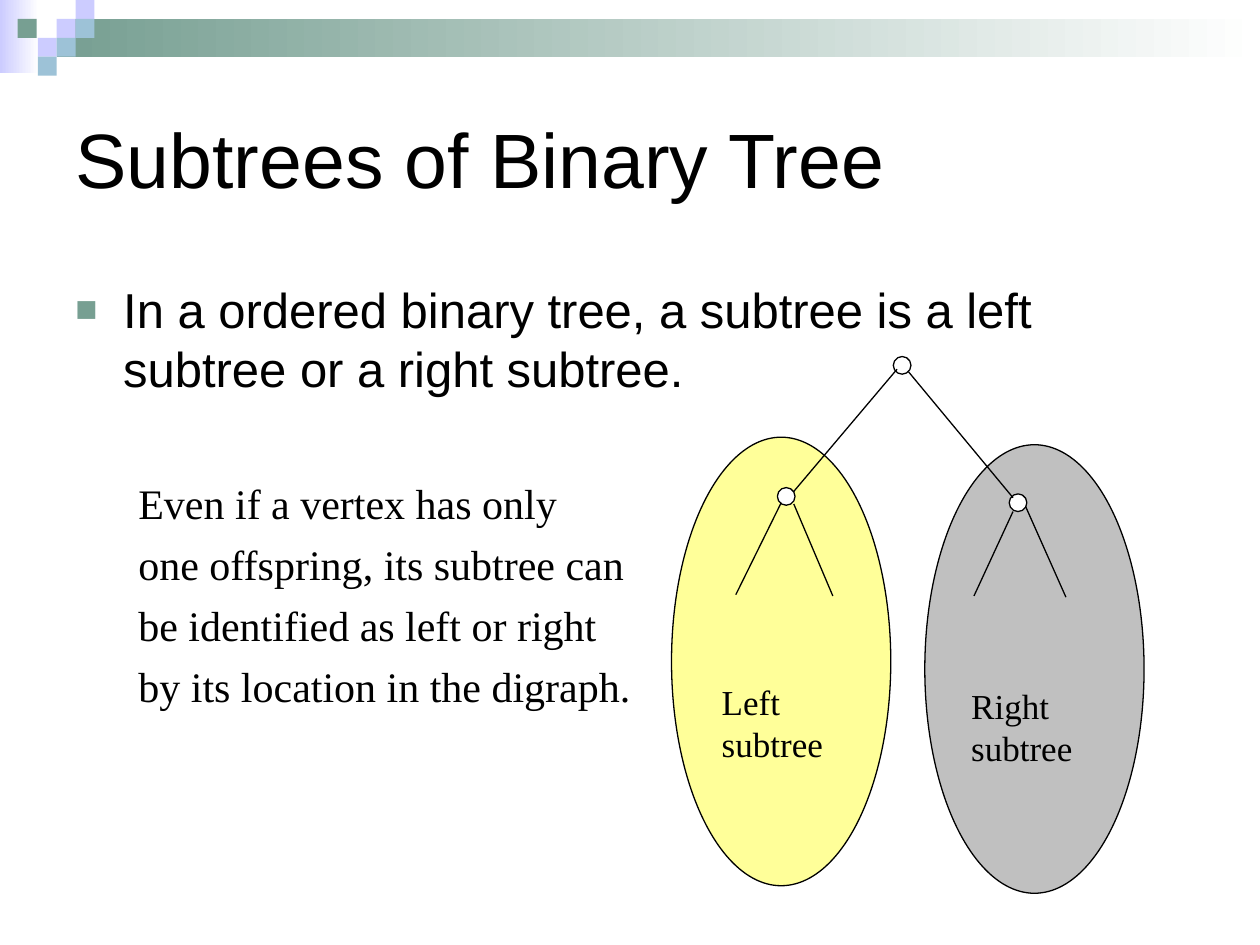
from typing import NamedTuple

from lxml.etree import SubElement
from pptx import Presentation
from pptx.dml.color import RGBColor
from pptx.enum.shapes import MSO_CONNECTOR as Connector, MSO_SHAPE as Preset
from pptx.enum.text import MSO_ANCHOR as Anchor, PP_ALIGN as Align
from pptx.oxml.ns import qn
from pptx.util import Inches, Pt

BLACK = RGBColor(0x00, 0x00, 0x00)
WHITE = RGBColor(0xFF, 0xFF, 0xFF)
GREEN = RGBColor(0x77, 0x9F, 0x92)
LAVENDER = RGBColor(0xCC, 0xCC, 0xFF)
BLUE = RGBColor(0x9D, 0xC2, 0xD7)
YELLOW = RGBColor(0xFF, 0xFF, 0x99)
GRAY = RGBColor(0xC0, 0xC0, 0xC0)
SANS = "Arial"
SERIF = "Times New Roman"
LINE_WIDTH = Pt(0.74)
TILE = 0.15
NODE = 0.14


class Box(NamedTuple):
    left: float
    top: float
    width: float
    height: float


class Band(NamedTuple):
    box: Box
    color: RGBColor


class Tile(NamedTuple):
    left: float
    row: int
    color: RGBColor


class Oval(NamedTuple):
    box: Box
    color: RGBColor


class Edge(NamedTuple):
    start: tuple[float, float]
    end: tuple[float, float]


class Label(NamedTuple):
    text: str
    left: float
    top: float


BANDS = [
    Band(Box(0, 0, 0.31, 0.58), LAVENDER),
    Band(Box(0.45, 0.15, 9.55, 0.3), GREEN),
]
TILES = [
    Tile(0.45, 1, LAVENDER),
    Tile(0.6, 0, LAVENDER),
    Tile(0.6, 1, BLUE),
    Tile(0.3, 2, LAVENDER),
    Tile(0.14, 1, GREEN),
    Tile(0.45, 2, BLUE),
    Tile(0.3, 3, BLUE),
]
OVALS = [
    Oval(Box(5.33, 3.47, 1.74, 3.56), YELLOW),
    Oval(Box(7.34, 3.53, 1.74, 3.56), GRAY),
    Oval(Box(7.09, 2.83, NODE, NODE), WHITE),
    Oval(Box(6.17, 3.87, NODE, NODE), WHITE),
    Oval(Box(8.01, 3.92, NODE, NODE), WHITE),
]
EDGES = [
    Edge((7.12, 2.93), (6.3, 3.9)),
    Edge((7.21, 2.95), (8.04, 3.95)),
    Edge((6.2, 3.99), (5.84, 4.72)),
    Edge((6.3, 4), (6.61, 4.73)),
    Edge((8.04, 4.06), (7.73, 4.73)),
    Edge((8.14, 4.02), (8.46, 4.74)),
]
LABELS = [Label("Left subtree", 5.63, 5.35), Label("Right subtree", 7.61, 5.38)]
STATEMENT = "In a ordered binary tree, a subtree is a left subtree or a right subtree."
REMARK = [
    "Even if a vertex has only",
    "one offspring, its subtree can",
    "be identified as left or right",
    "by its location in the digraph.",
]


def inches(box: Box) -> list:
    return [Inches(length) for length in box]


def add_preset(slide, preset, box: Box):
    shape = slide.shapes.add_shape(preset, *inches(box))
    shape.shadow.inherit = False
    return shape


def add_band(slide, band: Band) -> None:
    shape = add_preset(slide, Preset.RECTANGLE, band.box)
    shape.line.fill.background()
    shape.fill.gradient()
    shape.fill.gradient_angle = 0
    for stop, color in zip(shape.fill.gradient_stops, (band.color, WHITE)):
        stop.color.rgb = color


def add_tile(slide, tile: Tile) -> None:
    box = Box(tile.left, tile.row * TILE, TILE, TILE)
    shape = add_preset(slide, Preset.RECTANGLE, box)
    shape.fill.solid()
    shape.fill.fore_color.rgb = tile.color
    shape.line.fill.background()


def add_oval(slide, oval: Oval) -> None:
    shape = add_preset(slide, Preset.OVAL, oval.box)
    shape.fill.solid()
    shape.fill.fore_color.rgb = oval.color
    shape.line.color.rgb = BLACK
    shape.line.width = LINE_WIDTH


def add_edge(slide, edge: Edge) -> None:
    points = [Inches(length) for length in edge.start + edge.end]
    connector = slide.shapes.add_connector(Connector.STRAIGHT, *points)
    connector.line.color.rgb = BLACK
    connector.line.width = LINE_WIDTH
    SubElement(connector._element.spPr, qn("a:effectLst"))


def add_run(paragraph, text: str, size: float, font: str) -> None:
    run = paragraph.add_run()
    run.text = text
    run.font.size = Pt(size)
    run.font.name = font
    run.font.color.rgb = BLACK


def add_text_frame(slide, box: Box):
    text_frame = slide.shapes.add_textbox(*inches(box)).text_frame
    text_frame.word_wrap = True
    return text_frame


def set_indent(paragraph, margin: float, indent: float):
    properties = paragraph._p.get_or_add_pPr()
    properties.set("marL", str(Inches(margin)))
    properties.set("indent", str(Inches(indent)))
    return properties


def add_square_bullet(paragraph) -> None:
    properties = set_indent(paragraph, 0.38, -0.38)
    color = SubElement(properties, qn("a:buClr"))
    SubElement(color, qn("a:srgbClr"), val=str(GREEN))
    SubElement(properties, qn("a:buSzPct"), val="75000")
    SubElement(properties, qn("a:buFont"), typeface=SANS)
    SubElement(properties, qn("a:buChar"), char="■")


def add_title(slide, text: str) -> None:
    title = slide.shapes.title
    title.left, title.top, title.width, title.height = inches(Box(0.5, 0.5, 9, 1.5))
    title.text_frame.vertical_anchor = Anchor.MIDDLE
    paragraph = title.text_frame.paragraphs[0]
    paragraph.alignment = Align.LEFT
    add_run(paragraph, text, 44, SANS)


def add_body(slide) -> None:
    text_frame = add_text_frame(slide, Box(0.5, 2.17, 9, 4.25))
    statement = text_frame.paragraphs[0]
    statement.space_before = Pt(7)
    add_square_bullet(statement)
    add_run(statement, STATEMENT, 28, SANS)
    for index, line in enumerate(REMARK):
        paragraph = text_frame.add_paragraph()
        paragraph.space_before = Pt(6 if index else 46)
        set_indent(paragraph, 0.5, 0)
        add_run(paragraph, line, 24, SERIF)


def add_label(slide, label: Label) -> None:
    text_frame = add_text_frame(slide, Box(label.left, label.top, 1.23, 0.85))
    paragraph = text_frame.paragraphs[0]
    paragraph.alignment = Align.JUSTIFY
    add_run(paragraph, label.text, 20, SERIF)


presentation = Presentation()
presentation.slide_width, presentation.slide_height = Inches(10), Inches(7.5)
slide = presentation.slides.add_slide(presentation.slide_layouts[5])
for draw, items in ((add_band, BANDS), (add_tile, TILES)):
    for item in items:
        draw(slide, item)
add_title(slide, "Subtrees of Binary Tree")
add_body(slide)
for draw, items in ((add_oval, OVALS), (add_edge, EDGES), (add_label, LABELS)):
    for item in items:
        draw(slide, item)
presentation.save("out.pptx")
